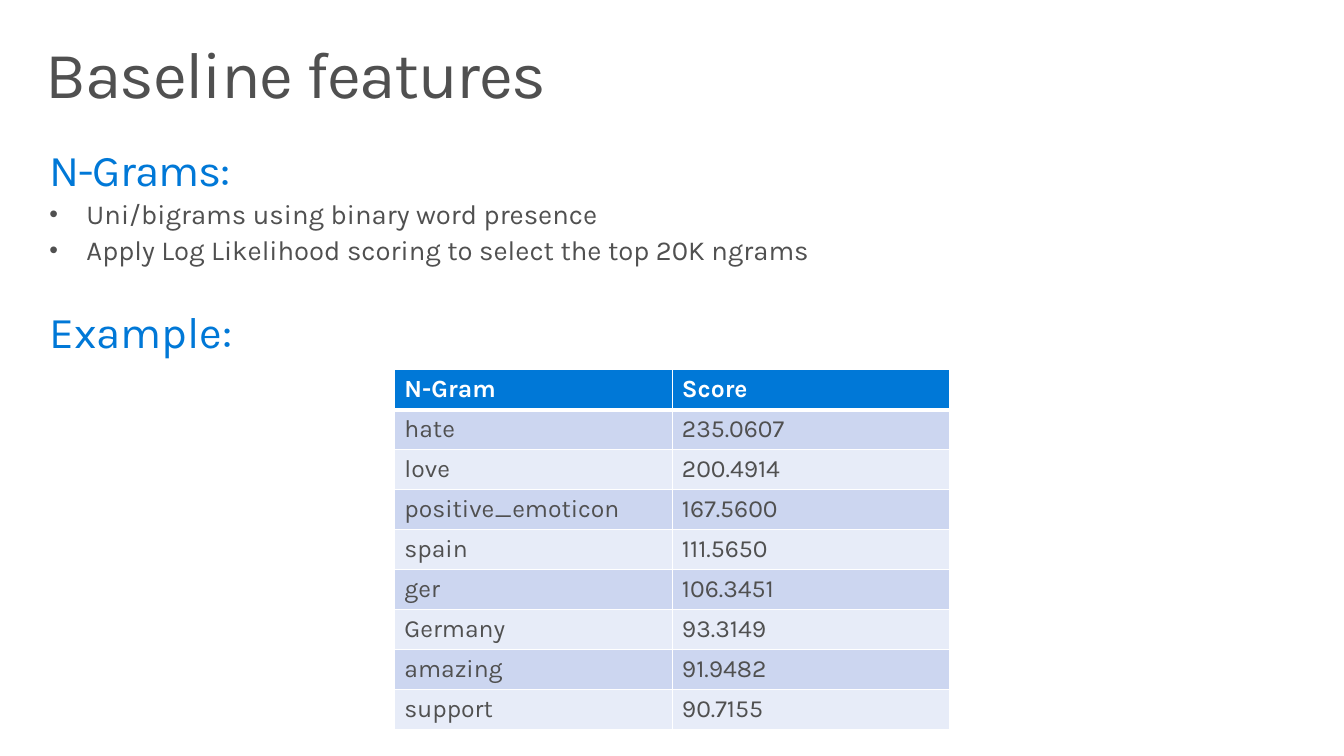
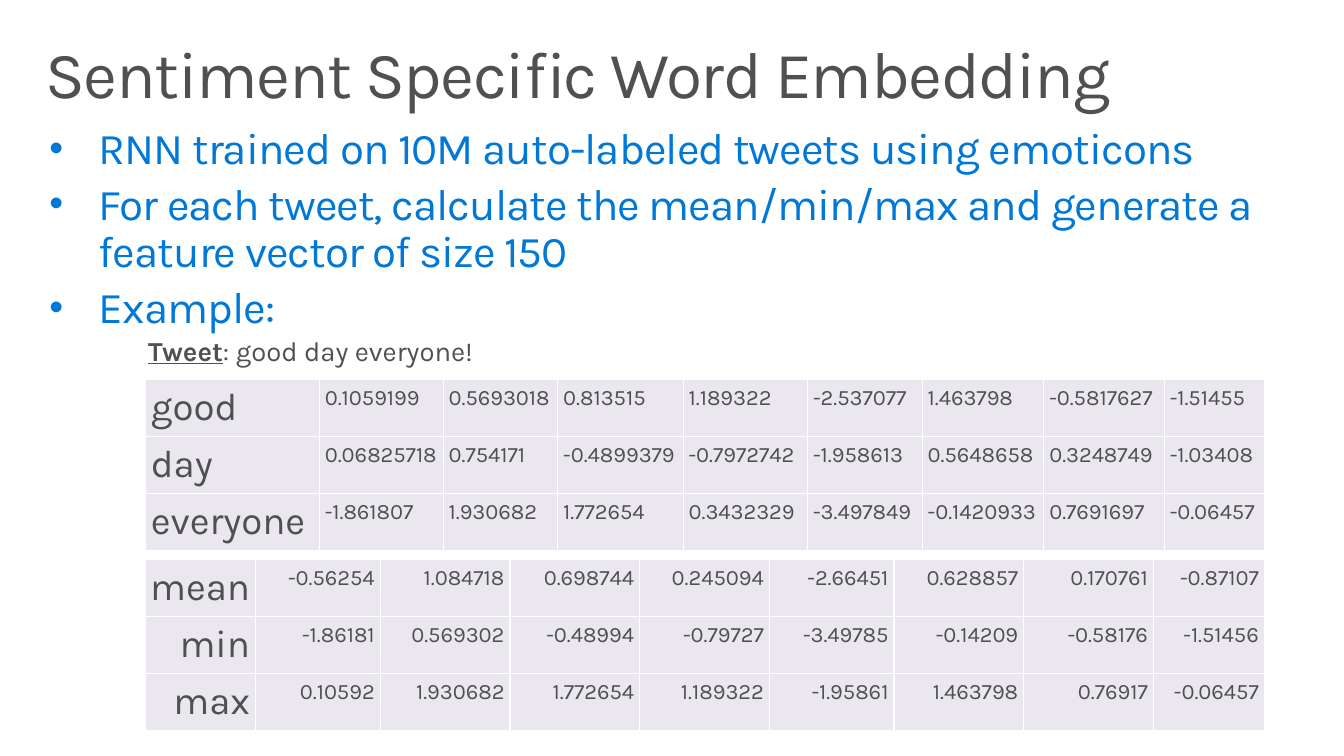
from dataclasses import dataclass

from lxml import etree
from pptx import Presentation
from pptx.dml.color import RGBColor
from pptx.enum import text
from pptx.oxml.ns import qn
from pptx.util import Pt


@dataclass(frozen=True)
class Theme:
    font: str = "Karla"
    ink: str = "505050"
    accent: str = "0078D7"
    white: str = "FFFFFF"
    band_dark: str = "CCD6F0"
    band_light: str = "E7ECF8"
    vector_fill: str = "EAE8EE"
    title_size: int = 48
    heading_size: int = 32
    label_size: int = 28
    detail_size: int = 20
    score_size: int = 18
    vector_size: int = 16


THEME = Theme()
SLIDE_SIZE = (979.2, 550.8)
LEFT, WIDTH = 21.6, 936

# Content: a body line is (style, space before, spans), a span is (text, emphasised)
NGRAM_LINES = [
    ("heading", 24, [("N-Grams:", False)]),
    ("detail", 4, [("Uni/bigrams using binary word presence", False)]),
    ("detail", 4, [("Apply Log Likelihood scoring to select the top 20K ngrams", False)]),
    ("example", 32.5, [("Example:", False)]),
]
NGRAM_SCORES = [
    ("N-Gram", "Score"),
    ("hate", "235.0607"),
    ("love", "200.4914"),
    ("positive_emoticon", "167.5600"),
    ("spain", "111.5650"),
    ("ger", "106.3451"),
    ("Germany", "93.3149"),
    ("amazing", "91.9482"),
    ("support", "90.7155"),
]
EMBEDDING_LINES = [
    ("point", 6, [("RNN trained on 10M auto-labeled tweets using emoticons", False)]),
    ("point", 6, [("For each tweet, calculate the mean/min/max and generate a "
                   "feature vector of size 150", False)]),
    ("point", 6, [("Example:", False)]),
    ("tweet", 4, [("Tweet", True), (": good day everyone!", False)]),
]
WORD_VECTORS = [row.split() for row in (
    "good 0.1059199 0.5693018 0.813515 1.189322 -2.537077 1.463798 -0.5817627 -1.51455",
    "day 0.06825718 0.754171 -0.4899379 -0.7972742 -1.958613 0.5648658 0.3248749 -1.03408",
    "everyone -1.861807 1.930682 1.772654 0.3432329 -3.497849 -0.1420933 0.7691697 -0.06457",
)]
POOLED_VECTORS = [row.split() for row in (
    "mean -0.56254 1.084718 0.698744 0.245094 -2.66451 0.628857 0.170761 -0.87107",
    "min -1.86181 0.569302 -0.48994 -0.79727 -3.49785 -0.14209 -0.58176 -1.51456",
    "max 0.10592 1.930682 1.772654 1.189322 -1.95861 1.463798 0.76917 -0.06457",
)]
WORD_COLUMNS = [126.7, 90.2, 83.5, 91.4, 90.7, 83.5, 88.6, 87.8, 73]
POOLED_COLUMNS = [80.2, 90.9, 94.5, 94.5, 94.5, 90.9, 94.5, 94.5, 80.9]

# Line styles: size, colour, letter spacing, left margin, first-line indent, bullet
LINE_STYLES = {
    "heading": (THEME.heading_size, THEME.accent, -0.7, 0, 0, False),
    "example": (THEME.heading_size, THEME.accent, 0, 0, 0, False),
    "point": (THEME.heading_size, THEME.accent, -0.7, 36, -36, True),
    "detail": (THEME.detail_size, THEME.ink, 0, 27, -27, True),
    "tweet": (THEME.detail_size, THEME.ink, 0, 72, 0, False),
}


def format_span(span, size, color, spacing=0, bold=False, underline=False):
    font = span.font
    font.name, font.size = THEME.font, Pt(size)
    font.bold, font.underline = bold, underline
    font.color.rgb = RGBColor.from_string(color)
    if spacing:
        span._r.get_or_add_rPr().set("spc", str(round(spacing * 100)))


def place_text(box, top, height, inset_x, inset_y):
    box.left, box.top, box.width, box.height = Pt(LEFT), Pt(top), Pt(WIDTH), Pt(height)
    frame = box.text_frame
    frame.word_wrap = True
    frame.auto_size = text.MSO_AUTO_SIZE.NONE
    frame.vertical_anchor = text.MSO_ANCHOR.TOP
    frame.margin_left = frame.margin_right = Pt(inset_x)
    frame.margin_top = frame.margin_bottom = Pt(inset_y)
    return frame


def set_bullet(para, margin, indent, bullet):
    props = para._p.get_or_add_pPr()
    props.set("marL", str(Pt(margin)))
    props.set("indent", str(Pt(indent)))
    if bullet:
        etree.SubElement(props, qn("a:buSzPct"), val="90000")
        etree.SubElement(props, qn("a:buFont"), typeface="Arial")
        etree.SubElement(props, qn("a:buChar"), char="•")
    else:
        etree.SubElement(props, qn("a:buNone"))


def add_page(deck, title, lines, body_top, body_height):
    page = deck.slides.add_slide(deck.slide_layouts[1])

    # Title
    frame = place_text(page.shapes.title, 23, 72, 11.5, 7.2)
    frame.text = title
    para = frame.paragraphs[0]
    para.alignment, para.line_spacing = text.PP_ALIGN.LEFT, 0.9
    format_span(para.runs[0], THEME.title_size, THEME.ink, -1)

    # Body
    frame = place_text(page.placeholders[1], body_top, body_height, 14.4, 11.5)
    for number, (style, space, spans) in enumerate(lines):
        size, color, spacing, margin, indent, bullet = LINE_STYLES[style]
        para = frame.add_paragraph() if number else frame.paragraphs[0]
        para.alignment, para.line_spacing = text.PP_ALIGN.LEFT, 0.9
        para.space_before = Pt(space)
        set_bullet(para, margin, indent, bullet)
        for words, strong in spans:
            span = para.add_run()
            span.text = words
            format_span(span, size, color, spacing, strong, strong)
    return page


def set_borders(cell, bottom=1):
    props = cell._tc.get_or_add_tcPr()
    for side, width in (("L", 1), ("R", 1), ("T", 1), ("B", bottom)):
        line = etree.SubElement(props, qn(f"a:ln{side}"), w=str(Pt(width)))
        fill = etree.SubElement(line, qn("a:solidFill"))
        etree.SubElement(fill, qn("a:srgbClr"), val=THEME.white)


def add_grid(page, rows, left, top, columns, row_height, style_cell):
    grid = page.shapes.add_table(len(rows), len(columns), Pt(left), Pt(top),
                                 Pt(sum(columns)), Pt(row_height * len(rows))).table
    grid.first_row = grid.horz_banding = False
    for column, width in zip(grid.columns, columns):
        column.width = Pt(width)
    for r, values in enumerate(rows):
        grid.rows[r].height = Pt(row_height)
        for c, value in enumerate(values):
            cell = grid.cell(r, c)
            cell.text_frame.text = value
            style_cell(cell, r, c)


def paint_cell(cell, fill, size, color, bold=False, bottom=1):
    set_borders(cell, bottom)
    cell.fill.solid()
    cell.fill.fore_color.rgb = RGBColor.from_string(fill)
    format_span(cell.text_frame.paragraphs[0].runs[0], size, color, bold=bold)


def style_score(cell, r, c):
    if r == 0:
        paint_cell(cell, THEME.accent, THEME.score_size, THEME.white, True, 3)
    else:
        band = THEME.band_dark if r % 2 else THEME.band_light
        paint_cell(cell, band, THEME.score_size, THEME.ink)


def style_vector(cell, r, c):
    # Side margins are tight so that every number stays on one line
    cell.margin_left, cell.margin_right = Pt(4), Pt(3)
    cell.margin_top = cell.margin_bottom = Pt(4.3)
    size = THEME.vector_size if c else THEME.label_size
    paint_cell(cell, THEME.vector_fill, size, THEME.ink)


def style_pooled(cell, r, c):
    style_vector(cell, r, c)
    cell.margin_left, cell.margin_right = Pt(2), Pt(4)
    cell.text_frame.paragraphs[0].alignment = text.PP_ALIGN.RIGHT


def main():
    deck = Presentation()
    deck.slide_width, deck.slide_height = map(Pt, SLIDE_SIZE)

    # N-gram features
    page = add_page(deck, "Baseline features", NGRAM_LINES, 96.5, 227)
    add_grid(page, NGRAM_SCORES, 287.5, 269.5, [202.2] * 2, 29.15, style_score)

    # Word embedding
    page = add_page(deck, "Sentiment Specific Word Embedding", EMBEDDING_LINES, 80.6, 255)
    for rows, top, columns, style in (
        (WORD_VECTORS, 276.5, WORD_COLUMNS, style_vector),
        (POOLED_VECTORS, 407.5, POOLED_COLUMNS, style_pooled),
    ):
        add_grid(page, rows, 106, top, columns, 41.6, style)

    deck.save("out.pptx")


if __name__ == "__main__":
    main()
